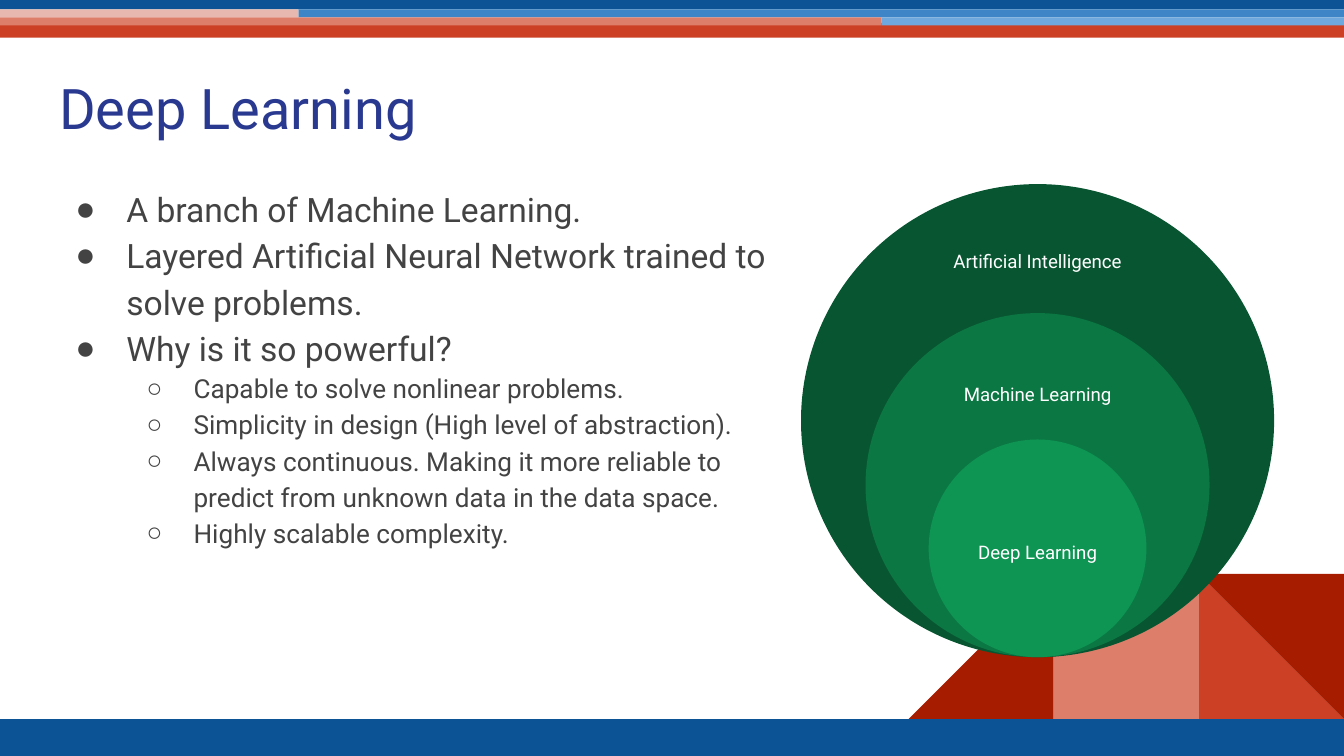
"""Build the Deep Learning slide with nested circles and a bullet list."""
from dataclasses import dataclass

from lxml import etree
from pptx import Presentation
from pptx.dml.color import RGBColor
from pptx.enum.shapes import MSO_SHAPE
from pptx.enum.text import MSO_ANCHOR, MSO_AUTO_SIZE, PP_ALIGN
from pptx.oxml.ns import qn
from pptx.util import Inches, Pt

RECT, OVAL = MSO_SHAPE.RECTANGLE, MSO_SHAPE.OVAL
WEDGE = MSO_SHAPE.RIGHT_TRIANGLE
TOP, MIDDLE = MSO_ANCHOR.TOP, MSO_ANCHOR.MIDDLE
LEFT, CENTER = PP_ALIGN.LEFT, PP_ALIGN.CENTER
FIXED = MSO_AUTO_SIZE.NONE

WHITE = RGBColor(0xFF, 0xFF, 0xFF)
GRAY = RGBColor(0x43, 0x43, 0x43)
INDIGO = RGBColor(0x2A, 0x39, 0x90)
NAVY = RGBColor(0x0B, 0x53, 0x94)
BLUE = RGBColor(0x3D, 0x85, 0xC6)
SKY = RGBColor(0x6F, 0xA8, 0xDC)
RED = RGBColor(0xCC, 0x41, 0x25)
BRICK = RGBColor(0xA6, 0x1C, 0x00)
CORAL = RGBColor(0xDD, 0x7E, 0x6B)
PINK = RGBColor(0xE6, 0xB8, 0xAF)
FOREST = RGBColor(0x08, 0x56, 0x31)
GREEN = RGBColor(0x0B, 0x77, 0x43)
MINT = RGBColor(0x0E, 0x94, 0x53)

FONT = "Roboto"
WIDTH = 10
HEIGHT = WIDTH * 9 / 16
FLOOR = 5.35
TILE = 1.08
MID, BASE = 7.72, 4.89


@dataclass
class Block:
    left: float
    top: float
    width: float
    height: float
    fill: RGBColor
    kind: int = RECT
    turn: int = 0


@dataclass
class Ring:
    text: str
    size: float
    fill: RGBColor
    top: float
    width: float
    height: float


@dataclass
class Level:
    size: int
    margin: float
    indent: float
    mark: str


def tile(left: float, fill: RGBColor, kind: int = WEDGE, turn: int = 0) -> Block:
    """Return one square of the corner pattern."""
    return Block(left, FLOOR - TILE, TILE, TILE, fill, kind, turn)


BLOCKS = [
    Block(0, 0.17, WIDTH, 0.11, RED),
    tile(WIDTH - TILE, RED),
    tile(WIDTH - 3 * TILE, BRICK, turn=270),
    tile(WIDTH - 2 * TILE, CORAL, RECT),
    tile(WIDTH - TILE, BRICK, turn=180),
    Block(0, FLOOR, WIDTH, HEIGHT - FLOOR, NAVY),
    Block(0, 0, WIDTH, 0.07, NAVY),
    Block(2.22, 0.07, 7.78, 0.06, BLUE),
    Block(6.56, 0.13, 3.44, 0.06, SKY),
    Block(0, 0.07, 2.22, 0.06, PINK),
    Block(0, 0.13, 6.56, 0.06, CORAL),
]
RINGS = [
    Ring("Artificial Intelligence", 3.52, FOREST, 1.63, 1.73, 0.62),
    Ring("Machine Learning", 2.56, GREEN, 2.64, 1.62, 0.58),
    Ring("Deep Learning", 1.62, MINT, 3.75, 1.35, 0.71),
]
LEVELS = [Level(18, 0.5, -0.38, "●"), Level(14, 1, -0.35, "○")]
POINTS = [
    (0, "A branch of Machine Learning."),
    (0, "Layered Artificial Neural Network trained to solve problems."),
    (0, "Why is it so powerful?"),
    (1, "Capable to solve nonlinear problems."),
    (1, "Simplicity in design (High level of abstraction)."),
    (1, "Always continuous. Making it more reliable to predict from "
        "unknown data in the data space."),
    (1, "Highly scalable complexity."),
]


def place(shape, left: float, top: float, width: float, height: float) -> None:
    """Move and size a shape."""
    shape.left, shape.top = Inches(left), Inches(top)
    shape.width, shape.height = Inches(width), Inches(height)


def setup(frame, anchor: int = TOP) -> None:
    """Give a text frame its margins, wrapping and anchor."""
    frame.margin_left = frame.margin_right = Inches(0.1)
    frame.margin_top = frame.margin_bottom = Inches(0.1)
    frame.auto_size = FIXED
    frame.word_wrap = True
    frame.vertical_anchor = anchor


def write(para, text: str, *, size: int, color: RGBColor,
          align: int = LEFT, space: float = 1.0) -> None:
    """Fill a paragraph with one formatted run."""
    para.alignment = align
    para.line_spacing = space
    para.space_before = para.space_after = Pt(0)
    run = para.add_run()
    run.text = text
    run.font.name = FONT
    run.font.size = Pt(size)
    run.font.color.rgb = color


def mark(para, level: Level) -> None:
    """Set the indent and bullet of a paragraph."""
    props = para._p.get_or_add_pPr()
    props.set("marL", str(Inches(level.margin)))
    props.set("indent", str(Inches(level.indent)))
    tint = etree.SubElement(props, qn("a:buClr"))
    etree.SubElement(tint, qn("a:srgbClr"), val=str(GRAY))
    etree.SubElement(props, qn("a:buChar"), char=level.mark)


def draw(shapes, block: Block) -> None:
    """Draw a plain filled shape."""
    shape = shapes.add_shape(block.kind, 0, 0, 0, 0)
    place(shape, block.left, block.top, block.width, block.height)
    shape.rotation = block.turn
    shape.shadow.inherit = False
    shape.fill.solid()
    shape.fill.fore_color.rgb = block.fill
    shape.line.fill.background()


def nest(slide, ring: Ring) -> None:
    """Draw a circle grouped with its label."""
    shapes = slide.shapes.add_group_shape().shapes
    draw(shapes, Block(MID - ring.size / 2, BASE - ring.size,
                       ring.size, ring.size, ring.fill, OVAL))
    label = shapes.add_textbox(
        Inches(MID - ring.width / 2), Inches(ring.top),
        Inches(ring.width), Inches(ring.height))
    setup(label.text_frame, MIDDLE)
    write(label.text_frame.paragraphs[0], ring.text,
          size=10, color=WHITE, align=CENTER)


def main() -> None:
    """Build and save the slide."""
    deck = Presentation()
    deck.slide_width, deck.slide_height = Inches(WIDTH), Inches(HEIGHT)
    slide = deck.slides.add_slide(deck.slide_layouts[1])
    for block in BLOCKS:
        draw(slide.shapes, block)

    title, body = slide.shapes.title, slide.placeholders[1]
    place(title, 0.34, 0.45, 9.32, 0.66)
    setup(title.text_frame)
    write(title.text_frame.paragraphs[0], "Deep Learning", size=30, color=INDIGO)

    place(body, 0.34, 1.26, 5.61, 3.74)
    frame = body.text_frame
    setup(frame)
    for spot, (depth, text) in enumerate(POINTS):
        para = frame.add_paragraph() if spot else frame.paragraphs[0]
        level = LEVELS[depth]
        para.level = depth
        mark(para, level)
        write(para, text, size=level.size, color=GRAY, space=1.15)

    for ring in RINGS:
        nest(slide, ring)
    deck.save("out.pptx")


if __name__ == "__main__":
    main()
